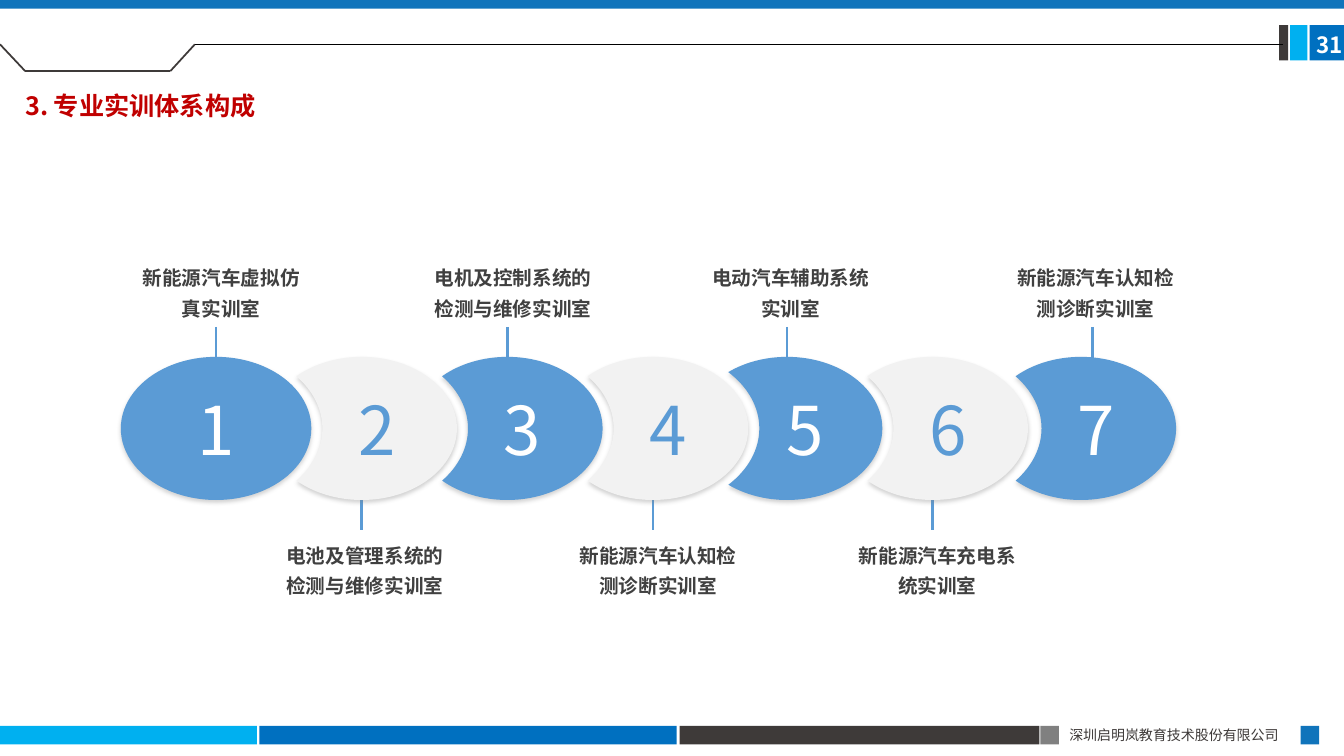
"""Build the slide showing the seven rooms of the practical training system."""
from math import acos, cos, pi, sin, tan

from lxml import etree
from pptx import Presentation
from pptx.dml.color import RGBColor
from pptx.enum.shapes import MSO_CONNECTOR, MSO_SHAPE
from pptx.enum.text import MSO_ANCHOR, PP_ALIGN
from pptx.oxml.ns import qn
from pptx.util import Inches, Pt

RECT, OVAL = MSO_SHAPE.RECTANGLE, MSO_SHAPE.OVAL
STRAIGHT = MSO_CONNECTOR.STRAIGHT
TOP, MIDDLE, BOTTOM = MSO_ANCHOR.TOP, MSO_ANCHOR.MIDDLE, MSO_ANCHOR.BOTTOM
LEFT, CENTER, JUSTIFY = PP_ALIGN.LEFT, PP_ALIGN.CENTER, PP_ALIGN.JUSTIFY

SKY = RGBColor(0x00, 0xB0, 0xF0)
BLUE = RGBColor(0x00, 0x70, 0xC0)
STEEL = RGBColor(0x10, 0x74, 0xBB)
CHARCOAL = RGBColor(0x3E, 0x3A, 0x39)
GRAY = RGBColor(0x80, 0x80, 0x80)
BLACK = RGBColor(0x00, 0x00, 0x00)
WHITE = RGBColor(0xFF, 0xFF, 0xFF)
RED = RGBColor(0xC0, 0x00, 0x00)
ROOM_BLUE = RGBColor(0x5B, 0x9B, 0xD5)
ROOM_PALE = RGBColor(0xF2, 0xF2, 0xF2)
LABEL_INK = RGBColor(0x40, 0x40, 0x40)

FONT = "Noto Sans CJK SC"
COLS, ROWS = 160, 90
CELL = Inches(1 / 12)


def write(frame, text, size, color, bold=False, align=LEFT, anchor=TOP, spacing=1.0, wrap=True):
    """Put one formatted paragraph into a text frame."""
    for name, value in {"word_wrap": wrap, "vertical_anchor": anchor}.items():
        setattr(frame, name, value)
    paragraph = frame.paragraphs[0]
    for name, value in {"alignment": align, "line_spacing": spacing}.items():
        setattr(paragraph, name, value)
    run = paragraph.add_run()
    run.text = text
    for name, value in {"size": Pt(size), "bold": bold, "name": FONT}.items():
        setattr(run.font, name, value)
    run.font.color.rgb = color
    etree.SubElement(run.font._element, qn("a:ea"), typeface=FONT)
    return paragraph


def connect(x1, y1, x2, y2, color, width):
    """Draw a plain line between two grid points."""
    line = slide.shapes.add_connector(STRAIGHT, *(round(v * CELL) for v in (x1, y1, x2, y2)))
    line.line.color.rgb = color
    line.line.width = Pt(width)
    etree.SubElement(line._element.spPr, qn("a:effectLst"))


deck = Presentation()
deck.slide_width, deck.slide_height = COLS * CELL, ROWS * CELL
slide = deck.slides.add_slide(deck.slide_layouts[5])

FOOT, FOOT_H = 86.43, 2.2
BADGE, BADGE_H = 3, 4.2
bars = [
    (0, FOOT, 30.6, FOOT_H, SKY),
    (30.88, FOOT, 49.68, FOOT_H, BLUE),
    (80.9, FOOT, 42.84, FOOT_H, CHARCOAL),
    (123.87, FOOT, 2.2, FOOT_H, GRAY),
    (154.85, FOOT, 2.2, FOOT_H, STEEL),
    (155.92, BADGE, 4.08, BADGE_H, BLUE),
    (153.6, BADGE, 2.04, BADGE_H, SKY),
    (152.28, BADGE, 1.08, BADGE_H, CHARCOAL),
    (0, 0, COLS, 1.05, STEEL),
]
for *box, color in bars:
    bar = slide.shapes.add_shape(RECT, *(round(v * CELL) for v in box))
    bar.shadow.inherit = False
    bar.fill.solid()
    bar.fill.fore_color.rgb = color
    bar.line.fill.background()

TAB_Y, RULE_Y = 8.47, 5.28
connect(3, TAB_Y, 20.28, TAB_Y, CHARCOAL, 1.25)
connect(20.28, TAB_Y, 23.2, RULE_Y, CHARCOAL, 1.25)
connect(3, TAB_Y, 0, RULE_Y, CHARCOAL, 1.25)

page = slide.shapes.add_textbox(*(round(v * CELL) for v in (155.52, 3.12, 6, 4.44)))
write(page.text_frame, "31", 16, WHITE, bold=True, wrap=False)
company = slide.shapes.add_textbox(*(round(v * CELL) for v in (126.12, 85.92, 28.8, 3.24)))
write(company.text_frame, "深圳启明岚教育技术股份有限公司", 10, CHARCOAL, align=JUSTIFY)
connect(23.2, RULE_Y, 152.76, RULE_Y, BLACK, 0.5)

heading = slide.shapes.title
for name, value in {"left": -2.88, "top": 8.4, "width": 38.16, "height": 6.72}.items():
    setattr(heading, name, round(value * CELL))
heading_line = write(heading.text_frame, "3. 专业实训体系构成", 18, RED, bold=True, spacing=1.5)
heading_line._p.get_or_add_pPr().set("indent", str(Inches(0.39)))

MID_Y, STEP = 51, 17.34
RX, RY = 11.34, 8.52
NOTCH_RX, NOTCH_RY = 12.66, 9.48
STEM_IN, STEM_OUT = 6.6, 12.08
LABEL_W, LABEL_H, LABEL_GAP = 23.28, 17.4, 12.28
rooms = [
    ("新能源汽车虚拟仿真实训室", 0, 0, 14.7),
    ("电池及管理系统的检测与维修实训室", STEP, 0, 31.8),
    ("电机及控制系统的检测与维修实训室", STEP, 0, 49.44),
    ("新能源汽车认知检测诊断实训室", STEP, 0, 66.72),
    ("电动汽车辅助系统实训室", 15.96, 0, 82.5),
    ("新能源汽车充电系统实训室", STEP, 0, 99.96),
    ("新能源汽车认知检测诊断实训室", 17.64, 1.4, 118.8),
]

center = 25.72
for number, (room, gap, stem_shift, label_left) in enumerate(rooms, 1):
    center += gap
    stem = center + stem_shift
    above = number % 2 == 1
    side = -1 if above else 1
    connect(stem, MID_Y + side * STEM_OUT, stem, MID_Y + side * STEM_IN, ROOM_BLUE, 2)

    label_top = MID_Y - LABEL_GAP - LABEL_H if above else MID_Y + LABEL_GAP
    label_box = (label_left, label_top, LABEL_W, LABEL_H)
    label = slide.shapes.add_textbox(*(round(v * CELL) for v in label_box))
    write(label.text_frame, room, 14, LABEL_INK, bold=True, align=CENTER,
          anchor=BOTTOM if above else TOP, spacing=1.3)

    if gap:
        reach = min(gap, STEP)
        tip = (reach**2 + RX**2 - NOTCH_RX**2) / (2 * reach)
        rim = pi - acos(tip / RX)
        bite = acos((reach - tip) / NOTCH_RX)
        outline = [(center + RX * cos(rim), MID_Y - RY * sin(rim))]
        for hub, rx, ry, stops in (
            (center, RX, RY, (-rim, -pi / 2, 0, pi / 2, rim)),
            (center - reach, NOTCH_RX, NOTCH_RY, (bite, 0, -bite)),
        ):
            for start, end in zip(stops, stops[1:]):
                pull = 4 / 3 * tan((end - start) / 4)
                for angle, lean in ((start, pull), (end, -pull), (end, 0)):
                    outline.append((hub + rx * (cos(angle) - lean * sin(angle)),
                                    MID_Y + ry * (sin(angle) + lean * cos(angle))))
        points = [(round(x * CELL), round(y * CELL)) for x, y in outline]
        builder = slide.shapes.build_freeform(*points[0])
        builder.add_line_segments(points[1:], close=True)
        disc = builder.convert_to_shape()
        segments = list(disc._element.iter(qn("a:lnTo")))
        for first, second, third in zip(segments[::3], segments[1::3], segments[2::3]):
            first.tag = qn("a:cubicBezTo")
            for extra in (second, third):
                first.append(extra[0])
                extra.getparent().remove(extra)
    else:
        oval_box = (center - RX, MID_Y - RY, 2 * RX, 2 * RY)
        disc = slide.shapes.add_shape(OVAL, *(round(v * CELL) for v in oval_box))
    disc.fill.solid()
    disc.fill.fore_color.rgb = ROOM_BLUE if above else ROOM_PALE
    disc.line.fill.background()
    disc.shadow.inherit = False
    effects = disc._element.spPr.find(qn("a:effectLst"))
    shadow = etree.SubElement(effects, qn("a:outerShdw"), blurRad=str(Pt(3.1)),
                              dist=str(Pt(1.8)), dir="5400000", rotWithShape="0")
    tint = etree.SubElement(shadow, qn("a:srgbClr"), val=str(GRAY))
    etree.SubElement(tint, qn("a:alpha"), val="35000")
    write(disc.text_frame, str(number), 48, WHITE if above else ROOM_BLUE,
          align=CENTER, anchor=MIDDLE)

deck.save("out.pptx")
